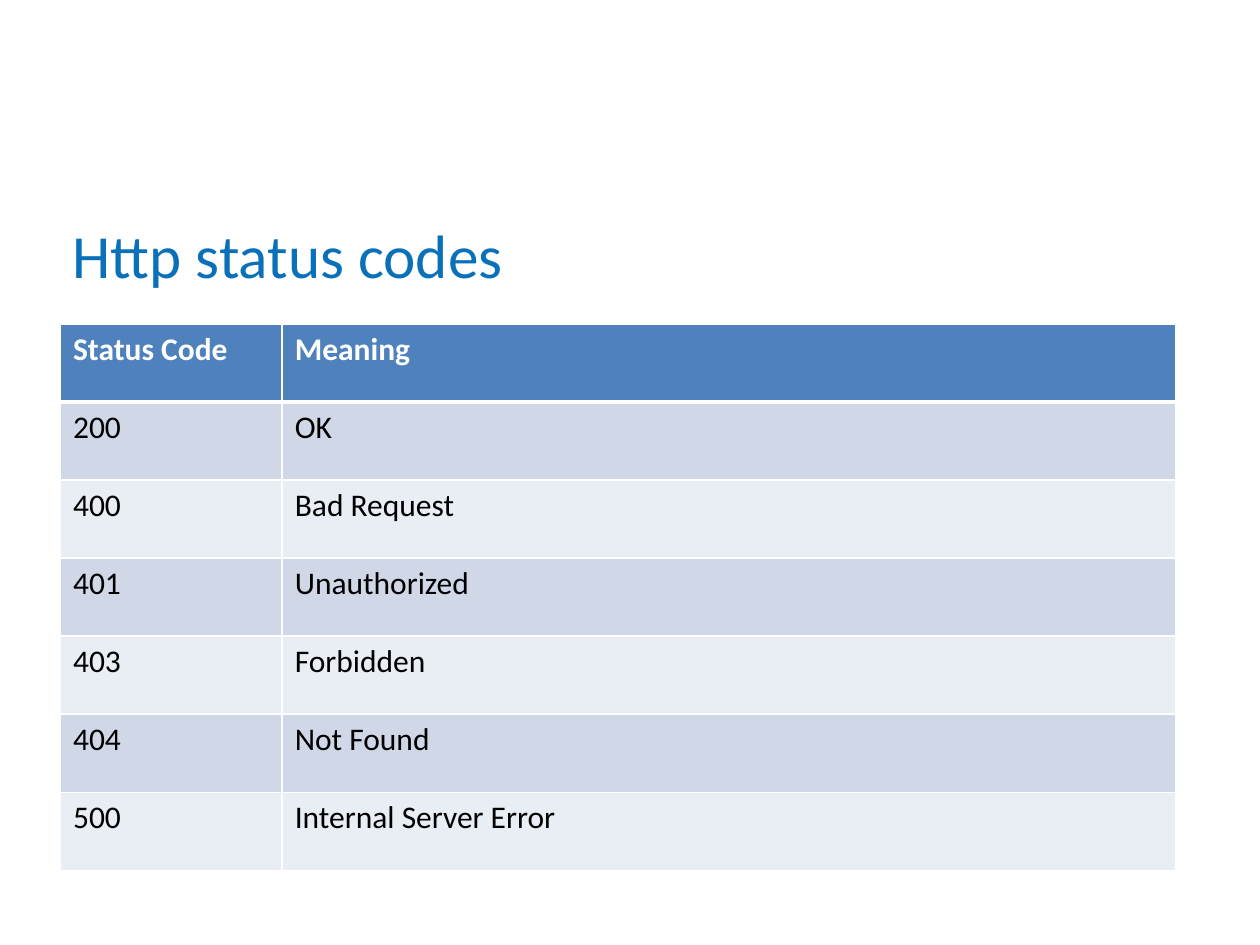
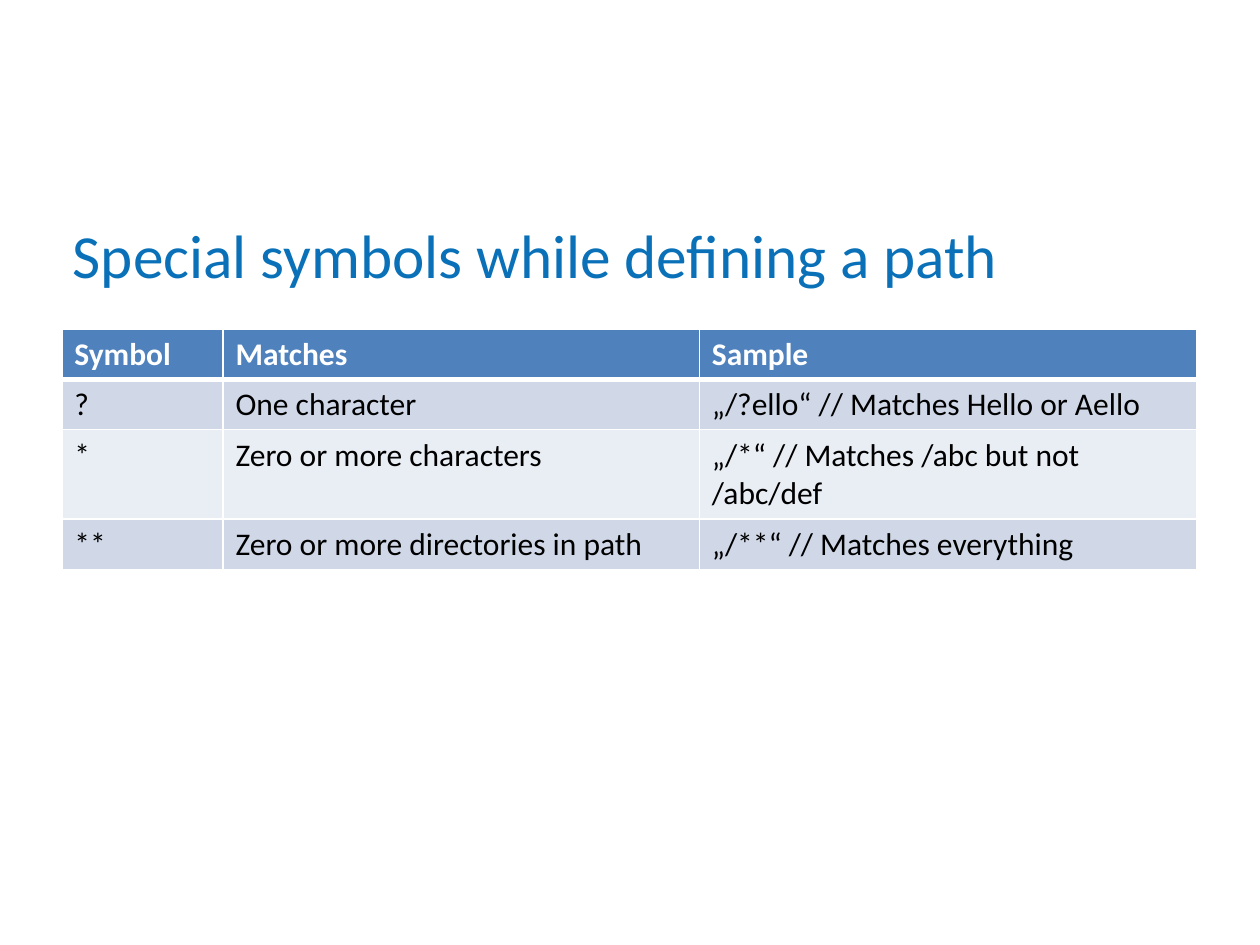
"""Build two slides of web reference tables: HTTP status codes and path symbols."""
from dataclasses import dataclass

from lxml.etree import SubElement
from pptx import Presentation
from pptx.dml.color import RGBColor
from pptx.enum.text import MSO_ANCHOR
from pptx.oxml.ns import qn
from pptx.util import Inches, Pt

TOPICS = [
    {
        "title": "Http status codes",
        "corner": (0.48, 2.57),
        "columns": [1.76, 7.09],
        "heights": [0.62] * 7,
        "rows": [
            ("Status Code", "Meaning"),
            ("200", "OK"),
            ("400", "Bad Request"),
            ("401", "Unauthorized"),
            ("403", "Forbidden"),
            ("404", "Not Found"),
            ("500", "Internal Server Error"),
        ],
    },
    {
        "title": "Special symbols while defining a path",
        "corner": (0.49, 2.61),
        "columns": [1.28, 3.78, 3.95],
        "heights": [0.4, 0.4, 0.71, 0.4],
        "rows": [
            ("Symbol", "Matches", "Sample"),
            ("?", "One character", "„/?ello“ // Matches Hello or Aello"),
            ("*", "Zero or more characters", "„/*“ // Matches /abc but not /abc/def"),
            ("**", "Zero or more directories in path", "„/**“ // Matches everything"),
        ],
    },
]


@dataclass(frozen=True)
class Theme:
    font: str = "Calibri"
    title_size: int = 35
    cell_size: int = 18
    title: str = "0A71B9"
    header: str = "4F81BD"
    header_text: str = "FFFFFF"
    body_text: str = "000000"
    bands: tuple = ("D0D8E8", "E9EDF4")
    rule: str = "FFFFFF"
    thin: int = 1
    thick: int = 3


THEME = Theme()


def write(frame, text, *, size, color, bold=False):
    frame.word_wrap = True
    run = frame.paragraphs[0].add_run()
    run.text = text
    run.font.name = THEME.font
    run.font.size = Pt(size)
    run.font.bold = bold
    run.font.color.rgb = RGBColor.from_string(color)


def add_title(slide, text):
    box = slide.shapes.add_textbox(Inches(0.48), Inches(1.11), Inches(9), Inches(1.25))
    box.text_frame.vertical_anchor = MSO_ANCHOR.BOTTOM
    write(box.text_frame, text, size=THEME.title_size, color=THEME.title)


def rule_cell(cell, **widths):
    properties = cell._tc.get_or_add_tcPr()
    for side in "LRTB":
        width = Pt(widths.get(side, THEME.thin))
        line = SubElement(properties, qn(f"a:ln{side}"), w=str(width))
        fill = SubElement(line, qn("a:solidFill"))
        SubElement(fill, qn("a:srgbClr"), val=THEME.rule)


def style_cell(cell, text, row):
    if row == 0:
        rule_cell(cell, B=THEME.thick)
        fill, color = THEME.header, THEME.header_text
    else:
        rule_cell(cell, T=THEME.thick if row == 1 else THEME.thin)
        fill, color = THEME.bands[(row - 1) % 2], THEME.body_text
    cell.fill.solid()
    cell.fill.fore_color.rgb = RGBColor.from_string(fill)
    write(cell.text_frame, text, size=THEME.cell_size, color=color, bold=row == 0)


def add_reference(slide, topic):
    columns, heights, rows = topic["columns"], topic["heights"], topic["rows"]
    left, top = topic["corner"]
    reference = slide.shapes.add_table(
        len(rows), len(columns),
        Inches(left), Inches(top), Inches(sum(columns)), Inches(sum(heights)),
    ).table
    for column, width in zip(reference.columns, columns):
        column.width = Inches(width)
    for row, (height, entries) in enumerate(zip(heights, rows)):
        reference.rows[row].height = Inches(height)
        for column, text in enumerate(entries):
            style_cell(reference.cell(row, column), text, row)


def main():
    deck = Presentation()
    deck.slide_width, deck.slide_height = Inches(10), Inches(7.5)
    for topic in TOPICS:
        slide = deck.slides.add_slide(deck.slide_layouts[6])
        add_title(slide, topic["title"])
        add_reference(slide, topic)
    deck.save("out.pptx")


if __name__ == "__main__":
    main()
